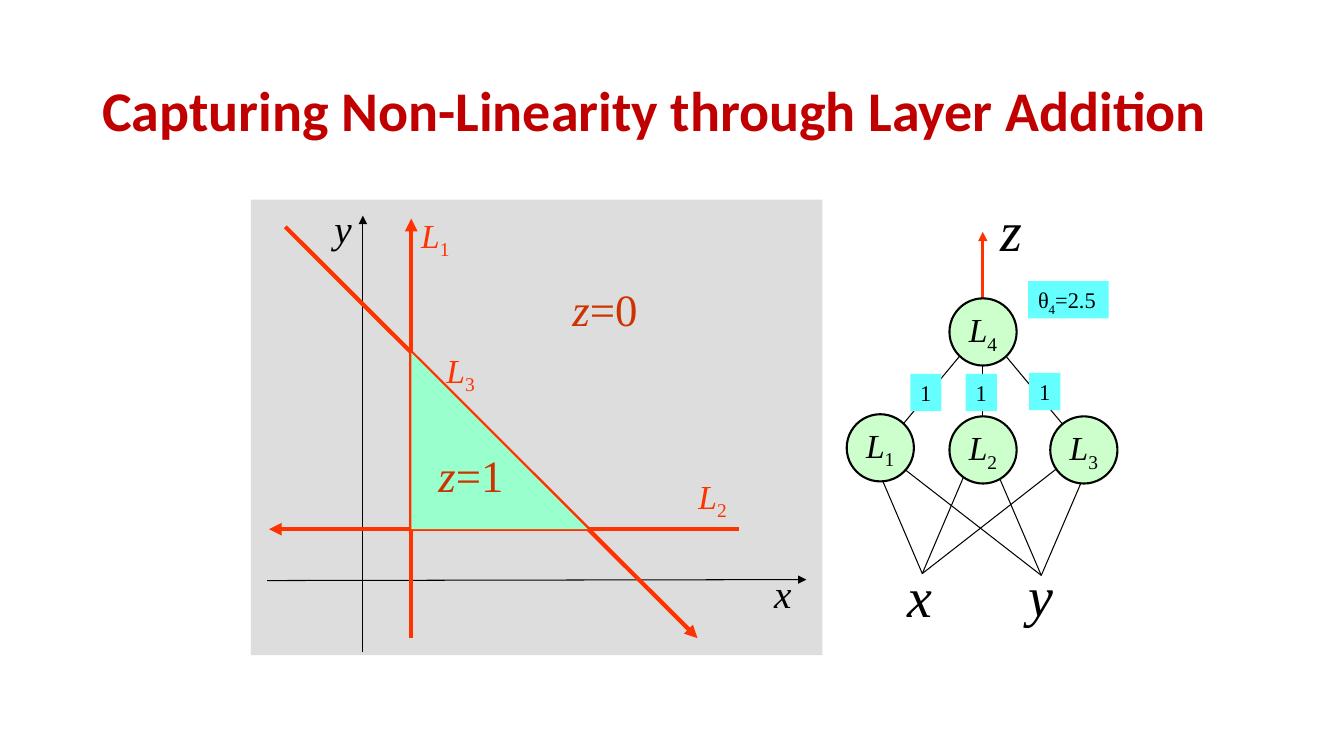
from dataclasses import dataclass

from lxml import etree
from pptx import Presentation
from pptx.dml.color import RGBColor
from pptx.enum.shapes import MSO_CONNECTOR, MSO_SHAPE
from pptx.enum.text import MSO_ANCHOR, MSO_AUTO_SIZE, PP_ALIGN
from pptx.oxml.ns import qn
from pptx.util import Pt

STRAIGHT = MSO_CONNECTOR.STRAIGHT
RECT = MSO_SHAPE.RECTANGLE
OVAL = MSO_SHAPE.OVAL
TOP = MSO_ANCHOR.TOP
MIDDLE = MSO_ANCHOR.MIDDLE
GROW = MSO_AUTO_SIZE.SHAPE_TO_FIT_TEXT
FIXED = MSO_AUTO_SIZE.NONE
LEFT = PP_ALIGN.LEFT
CENTER = PP_ALIGN.CENTER


@dataclass(frozen=True)
class Theme:
    title: str = "C00000"
    ink: str = "000000"
    boundary: str = "FF3300"
    output: str = "CC3300"
    panel: str = "DDDDDD"
    region: str = "99FFCC"
    neuron: str = "CCFFCC"
    weight: str = "66FFFF"
    title_font: str = "Calibri"
    math_font: str = "Times New Roman"
    title_size: int = 40
    terminal_size: int = 40
    output_size: int = 32
    axis_size: int = 28
    name_size: int = 24
    weight_size: int = 16


def var(letter, sub="", tail=""):
    parts = [(letter, True, False), (sub, False, True), (tail, False, False)]
    return [part for part in parts if part[0]]


def plain(text, sub="", tail=""):
    return [(t, False, is_sub) for t, _, is_sub in var(text, sub, tail)]


class Canvas:
    def __init__(self, slide, theme):
        self.s = slide
        self.theme = theme

    def paint(self, sp, fill, line=None, width=0):
        sp.shadow.inherit = False
        sp.fill.solid()
        sp.fill.fore_color.rgb = RGBColor.from_string(fill)
        if line:
            sp.line.color.rgb = RGBColor.from_string(line)
            sp.line.width = Pt(width)
        else:
            sp.line.fill.background()

    def put_text(self, sp, runs, size, color, frame, align=LEFT, **font):
        tf = sp.text_frame
        for name, value in frame.items():
            setattr(tf, name, value)
        p = tf.paragraphs[0]
        p.alignment = align
        for text, italic, is_sub in runs:
            r = p.add_run()
            r.text = text
            style = {"name": self.theme.math_font, "size": Pt(size), "italic": italic, **font}
            for name, value in style.items():
                setattr(r.font, name, value)
            r.font.color.rgb = RGBColor.from_string(color)
            if is_sub:
                r.font._element.set("baseline", "-25000")
        return p

    def title(self, text, x, y, w, h):
        sp = self.s.shapes.add_textbox(Pt(x), Pt(y), Pt(w), Pt(h))
        frame = {"word_wrap": True, "vertical_anchor": MIDDLE}
        p = self.put_text(sp, plain(text), self.theme.title_size, self.theme.title,
                          frame, name=self.theme.title_font, bold=True)
        p.line_spacing = 0.9

    def label(self, runs, x, y, w, h, size, color):
        sp = self.s.shapes.add_textbox(Pt(x), Pt(y), Pt(w), Pt(h))
        self.put_text(sp, runs, size, color, {"word_wrap": False, "auto_size": GROW})

    def panel(self, x, y, w, h):
        sp = self.s.shapes.add_shape(RECT, Pt(x), Pt(y), Pt(w), Pt(h))
        self.paint(sp, self.theme.panel)

    def weight(self, runs, x, y, w):
        sp = self.s.shapes.add_shape(RECT, Pt(x), Pt(y), Pt(w), Pt(26.6))
        self.paint(sp, self.theme.weight)
        frame = {"word_wrap": False, "auto_size": GROW, "vertical_anchor": TOP}
        self.put_text(sp, runs, self.theme.weight_size, self.theme.ink, frame)

    def neuron(self, index, x, y):
        sp = self.s.shapes.add_shape(OVAL, Pt(x), Pt(y), Pt(48), Pt(48))
        self.paint(sp, self.theme.neuron, self.theme.ink, 1.5)
        frame = {"word_wrap": False, "auto_size": FIXED, "vertical_anchor": MIDDLE}
        self.put_text(sp, var("L", index), self.theme.name_size, self.theme.ink, frame, CENTER)

    def region(self, points):
        start, *rest = points
        builder = self.s.shapes.build_freeform(Pt(start[0]), Pt(start[1]), scale=1.0)
        builder.add_line_segments([(Pt(x), Pt(y)) for x, y in rest], close=True)
        self.paint(builder.convert_to_shape(), self.theme.region)

    def line(self, start, end, color, width=0.75, arrow=False):
        c = self.s.shapes.add_connector(STRAIGHT, *map(Pt, (*start, *end)))
        c.line.color.rgb = RGBColor.from_string(color)
        c.line.width = Pt(width)
        props = c._element.spPr
        if arrow:
            etree.SubElement(props.find(qn("a:ln")), qn("a:tailEnd"), type="triangle")
        etree.SubElement(props, qn("a:effectLst"))


def draw_plane(canvas):
    t = canvas.theme
    canvas.panel(179.3, 142.6, 408.2, 325.4)
    canvas.line((190.8, 414.7), (576, 414), t.ink, arrow=True)
    canvas.line((259.2, 465.8), (259.2, 154.1), t.ink, arrow=True)
    for letter, x, y in (("x", 545.8, 403.2), ("y", 231.8, 142.6)):
        canvas.label(var(letter), x, y, 26.6, 41, t.axis_size, t.ink)

    boundaries = [
        ("1", (293.8, 455.8), (293.8, 156.2), (293.8, 149.8)),
        ("2", (527.8, 378), (192.2, 378), (491.8, 336.2)),
        ("3", (203.8, 162), (498.2, 455.8), (311.8, 246.2)),
    ]
    for index, start, end, (x, y) in boundaries:
        canvas.line(start, end, t.boundary, 3, arrow=True)
        canvas.label(var("L", index), x, y, 36, 36, t.name_size, t.boundary)

    canvas.region([(293.8, 252), (293.8, 378), (419.8, 378)])
    for value, x, y in (("=1", 306, 316.1), ("=0", 401.8, 198)):
        canvas.label(var("z", tail=value), x, y, 61.2, 45.4, t.output_size, t.output)


def draw_network(canvas):
    t = canvas.theme
    x_input, y_input = (658.8, 409.7), (743.8, 411)
    for i in range(3):
        canvas.line((622.8 + 72 * i, 325.4), x_input, t.ink)
        canvas.line((635.8 + 72 * i, 327.2), y_input, t.ink)
    for top, bottom in ((690, 630), (702, 702), (714, 774)):
        canvas.line((top, 249), (bottom, 321), t.ink)
    canvas.line((702, 213.1), (702, 165.6), t.boundary, 2.25, arrow=True)

    neurons = [("1", 604.8, 295.9), ("2", 678.2, 297.4), ("3", 750.2, 297.4), ("4", 678.2, 213.1)]
    for neuron in neurons:
        canvas.neuron(*neuron)
    for letter, x, y in (("x", 640.8, 397.4), ("y", 727.9, 396.7), ("z", 707.8, 136.1)):
        canvas.label(var(letter), x, y, 32.4, 55.4, t.terminal_size, t.ink)
    for x, y in ((650.2, 267.1), (689.8, 267.1), (735.1, 266.4)):
        canvas.weight(plain("1"), x, y, 22.3)
    canvas.weight(plain("θ", "4", "=2.5"), 734.4, 200.9, 57.6)


def main():
    prs = Presentation()
    prs.slide_width, prs.slide_height = Pt(960), Pt(540)
    canvas = Canvas(prs.slides.add_slide(prs.slide_layouts[6]), Theme())
    canvas.title("Capturing Non-Linearity through Layer Addition", 66, 28.8, 828, 104.4)
    draw_plane(canvas)
    draw_network(canvas)
    prs.save("out.pptx")


if __name__ == "__main__":
    main()
